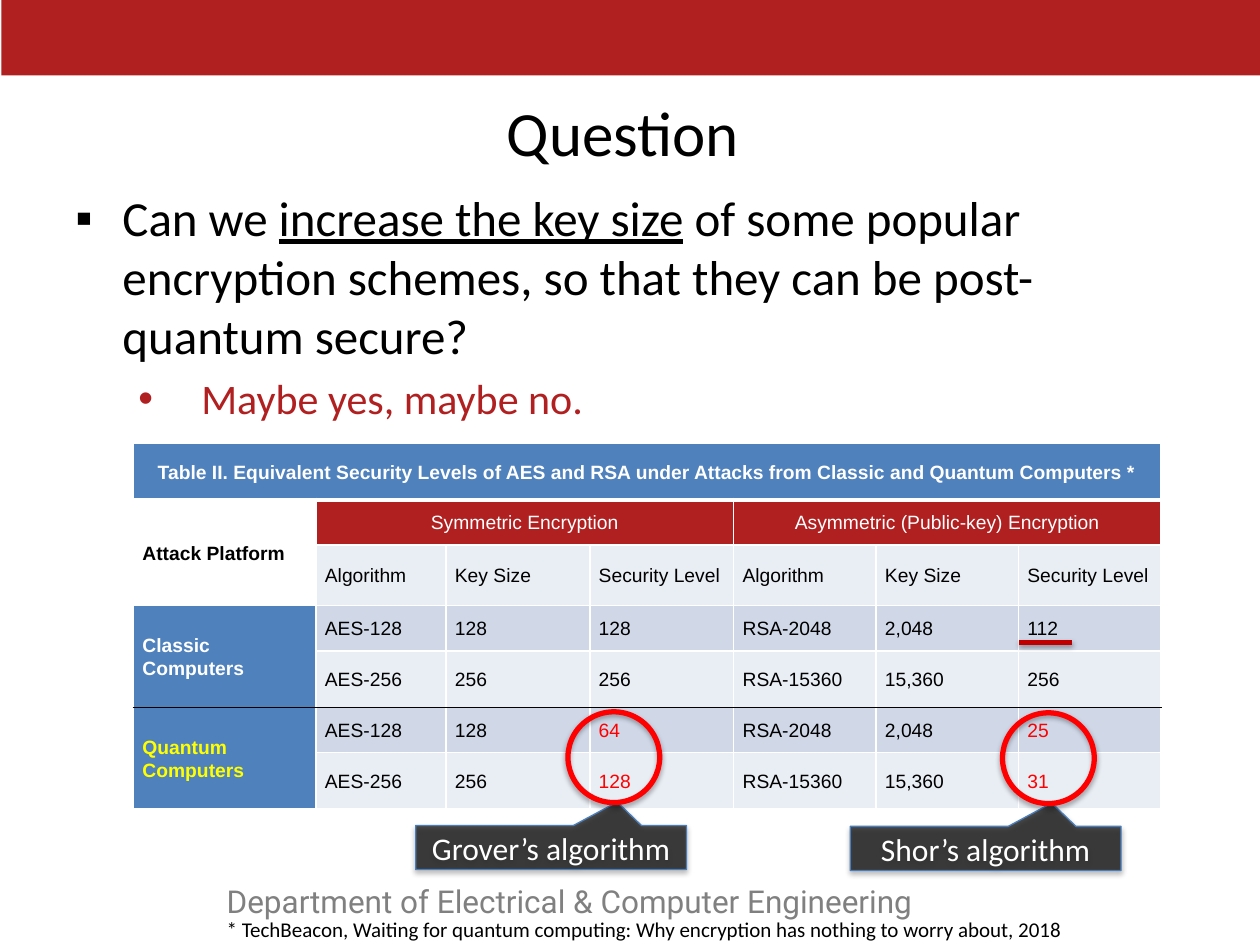
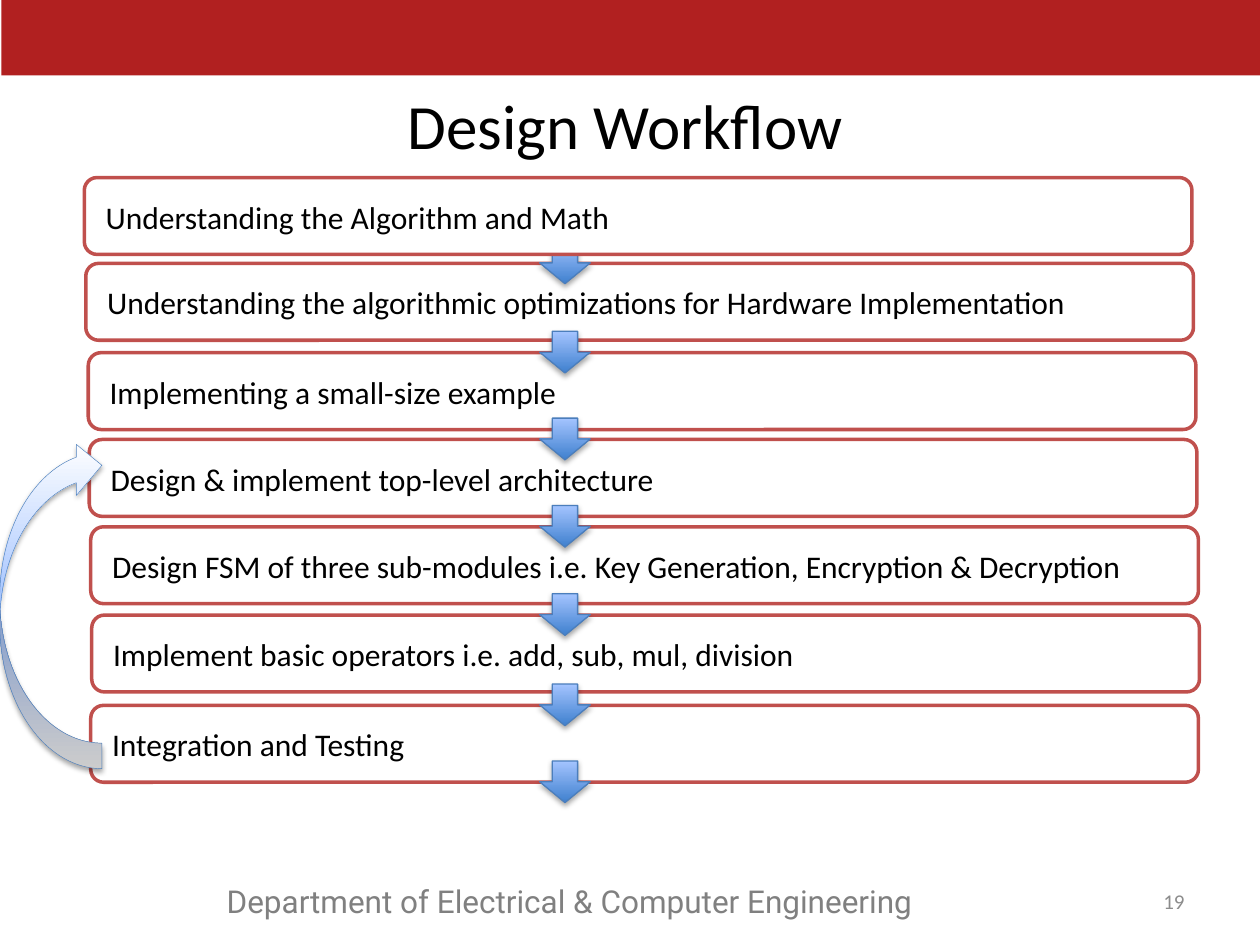
from pptx import Presentation
from pptx import util as u
from pptx.dml.color import RGBColor
from pptx.enum import shapes, text
from pptx.oxml import parse_xml
from pptx.oxml.ns import qn
from lxml import etree

NAMESPACE = 'xmlns:a="http://schemas.openxmlformats.org/drawingml/2006/main"'
COLORS = {
    "band": "B12020", "black": "000000", "white": "FFFFFF", "footer": "808080",
    "number": "8C8C8C", "blue": "4F81BD", "pale": "E9EDF4", "tint": "D0D8E8",
    "red": "FF0000", "underline": "C00000", "yellow": "FFFF00",
    "outline": "4B7EBC", "step": "C0504D", "arrow_dark": "3F80CE",
    "arrow_light": "A4C4FF",
}
SHAPE = shapes.MSO_SHAPE
ALIGN = text.PP_ALIGN
MIDDLE = text.MSO_ANCHOR.MIDDLE

COLUMN_WIDTHS = [3.68, 2.62, 2.9, 2.9, 2.87, 2.87, 2.87]
ROW_HEIGHTS = [1.14, 0.91, 1.22, 0.91, 1.14, 0.91, 1.14]
HEADINGS = ["Algorithm", "Key Size", "Security Level"] * 2
SECURITY_ROWS = [
    ["Table II. Equivalent Security Levels of AES and RSA under Attacks from "
     "Classic and Quantum Computers *"] + [""] * 6,
    ["Attack Platform", "Symmetric Encryption", "", "",
     "Asymmetric (Public-key) Encryption", "", ""],
    [""] + HEADINGS,
    ["Classic Computers", "AES-128", "128", "128", "RSA-2048", "2,048", "112"],
    ["", "AES-256", "256", "256", "RSA-15360", "15,360", "256"],
    ["Quantum Computers", "AES-128", "128", "64", "RSA-2048", "2,048", "25"],
    ["", "AES-256", "256", "128", "RSA-15360", "15,360", "31"],
]
MERGES = [(0, 0, 0, 6), (1, 0, 2, 0), (1, 1, 1, 3), (1, 4, 1, 6),
          (3, 0, 4, 0), (5, 0, 6, 0)]

# Wording, left and top of each step, in cm
STEPS = [
    ("Understanding the Algorithm and Math", 1.7, 3.58),
    ("Understanding the algorithmic optimizations for Hardware Implementation",
     1.73, 5.31),
    ("Implementing a small-size example", 1.78, 7.11),
    ("Design & implement top-level architecture", 1.8, 8.86),
    ("Design FSM of three sub-modules i.e. Key Generation, Encryption & Decryption",
     1.83, 10.62),
    ("Implement basic operators i.e. add, sub, mul, division", 1.85, 12.4),
    ("Integration and Testing", 1.83, 14.22),
]


def rgb(name):
    return RGBColor.from_string(COLORS[name])


def cm_box(box):
    return [u.Cm(length) for length in box]


def style_font(font, size, color, name="Calibri", bold=False):
    font.size, font.name, font.bold = u.Pt(size), name, bold
    font.color.rgb = rgb(color)


def add_text(slide, box, wording, size, color="black", name="Calibri",
             align=ALIGN.LEFT, anchor=text.MSO_ANCHOR.TOP):
    frame = slide.shapes.add_textbox(*cm_box(box)).text_frame
    frame.word_wrap = True
    frame.vertical_anchor = anchor
    paragraph = frame.paragraphs[0]
    paragraph.text = wording
    paragraph.alignment = align
    style_font(paragraph.font, size, color, name)


def add_shape(slide, kind, box, fill=None, line=None, width=0.75):
    shape = slide.shapes.add_shape(kind, *cm_box(box))
    shape.shadow.inherit = False
    if fill:
        shape.fill.solid()
        shape.fill.fore_color.rgb = rgb(fill)
    else:
        shape.fill.background()
    if line:
        shape.line.color.rgb = rgb(line)
        shape.line.width = u.Pt(width)
    else:
        shape.line.fill.background()
    return shape


def add_shadow(shape, distance=1.8, opacity=35):
    properties = shape._element.spPr
    effects = properties.find(qn("a:effectLst"))
    if effects is None:
        effects = etree.SubElement(properties, qn("a:effectLst"))
    effects.append(parse_xml(
        f'<a:outerShdw {NAMESPACE} blurRad="{u.Pt(3.1)}" dist="{u.Pt(distance)}" '
        f'dir="5400000" rotWithShape="0"><a:srgbClr val="{COLORS["black"]}">'
        f'<a:alpha val="{opacity * 1000}"/></a:srgbClr></a:outerShdw>'))


def set_gradient(shape, names, angle):
    """Replace the solid fill by evenly spaced stops."""
    stops = "".join(
        f'<a:gs pos="{100000 * index // (len(names) - 1)}">'
        f'<a:srgbClr val="{COLORS[name]}"/></a:gs>'
        for index, name in enumerate(names))
    properties = shape._element.spPr
    properties.replace(properties.find(qn("a:solidFill")), parse_xml(
        f'<a:gradFill {NAMESPACE} rotWithShape="1"><a:gsLst>{stops}</a:gsLst>'
        f'<a:lin ang="{angle * 60000}" scaled="0"/></a:gradFill>'))


def add_bullet(paragraph, mark, margin, indent):
    properties = paragraph._p.get_or_add_pPr()
    properties.set("marL", str(u.Cm(margin)))
    properties.set("indent", str(u.Cm(indent)))
    properties.append(parse_xml(f'<a:buFont {NAMESPACE} typeface="Arial"/>'))
    properties.append(parse_xml(f'<a:buChar {NAMESPACE} char="{mark}"/>'))


def add_base_slide(presentation, title, title_left, title_top):
    slide = presentation.slides.add_slide(presentation.slide_layouts[6])
    add_shape(slide, SHAPE.RECTANGLE, (0.03, 0, 25.4, 1.52), "band")
    add_text(slide, (4.32, 17.65, 14.66, 1.02),
             "Department of Electrical & Computer Engineering",
             18, "footer", "Roboto")
    add_text(slide, (title_left, title_top, 22.86, 1.88), title, 36,
             align=ALIGN.CENTER, anchor=MIDDLE)
    return slide


def add_question(slide, box):
    frame = slide.shapes.add_textbox(*cm_box(box)).text_frame
    frame.word_wrap = True
    question = frame.paragraphs[0]
    add_bullet(question, "▪", 0.95, -0.95)
    for wording, underlined in (
            ("Can we ", False), ("increase the key size", True),
            (" of some popular encryption schemes, so that they can be "
             "post-quantum secure?", False)):
        run = question.add_run()
        run.text = wording
        run.font.underline = underlined
    style_font(question.font, 28, "black")
    answer = frame.add_paragraph()
    answer.text = "Maybe yes, maybe no."
    answer.level = 1
    add_bullet(answer, "•", 2.54, -1.27)
    answer.space_before = u.Pt(4.8)
    style_font(answer.font, 24, "band")


def set_borders(cell, row):
    """White rules, a thick one under the title and black above Quantum."""
    bottom_row = row + cell.span_height - 1 if cell.is_merge_origin else row
    borders = dict.fromkeys(("lnL", "lnR", "lnT", "lnB"), ("white", 1))
    if row == 0:
        borders["lnB"] = ("white", 3)
    if row == 5:
        borders["lnT"] = ("black", 1)
    if bottom_row == 4:
        borders["lnB"] = ("black", 1)
    properties = cell._tc.get_or_add_tcPr()
    for tag, (color, width) in borders.items():
        properties.append(parse_xml(
            f'<a:{tag} {NAMESPACE} w="{u.Pt(width)}"><a:solidFill>'
            f'<a:srgbClr val="{COLORS[color]}"/></a:solidFill></a:{tag}>'))


def cell_style(row, column):
    """Return fill, font colour and boldness of a cell."""
    if row == 0:
        return "blue", "white", True
    if column == 0:
        if row < 3:
            return None, "black", True
        return "blue", "white" if row < 5 else "yellow", True
    if row == 1:
        return "band", "white", False
    broken = row >= 5 and column in (3, 6)
    return ("tint" if row in (3, 5) else "pale",
            "red" if broken else "black", False)


def add_security_table(slide, left, top):
    table = slide.shapes.add_table(
        len(ROW_HEIGHTS), len(COLUMN_WIDTHS),
        *cm_box((left, top, sum(COLUMN_WIDTHS), sum(ROW_HEIGHTS)))).table
    table.first_row = table.horz_banding = False
    for column, width in zip(table.columns, COLUMN_WIDTHS):
        column.width = u.Cm(width)
    for row, height in zip(table.rows, ROW_HEIGHTS):
        row.height = u.Cm(height)
    for row, column, last_row, last_column in MERGES:
        table.cell(row, column).merge(table.cell(last_row, last_column))
    for row, wordings in enumerate(SECURITY_ROWS):
        for column, wording in enumerate(wordings):
            cell = table.cell(row, column)
            fill, color, bold = cell_style(row, column)
            set_borders(cell, row)
            if fill:
                cell.fill.solid()
                cell.fill.fore_color.rgb = rgb(fill)
            else:
                cell.fill.background()
            cell.margin_left = cell.margin_right = u.Cm(0.18)
            cell.margin_top = cell.margin_bottom = 0
            cell.vertical_anchor = MIDDLE
            paragraph = cell.text_frame.paragraphs[0]
            paragraph.text = wording
            centred = row == 0 or (row == 1 and column > 0)
            paragraph.alignment = ALIGN.CENTER if centred else ALIGN.JUSTIFY
            paragraph.line_spacing = 1.07
            style_font(paragraph.font, 11, color, "Arial", bold)


def add_attack_note(slide, left, top, wording):
    """Place a callout and the ring it points to."""
    callout = add_shape(slide, SHAPE.RECTANGULAR_CALLOUT,
                        (left, top, 5.46, 0.89), "black", "outline")
    callout.adjustments[0], callout.adjustments[1] = 0.244, -1.031
    color = callout._element.spPr.find(qn("a:solidFill"))[0]
    etree.SubElement(color, qn("a:alpha")).set("val", "70000")
    add_shadow(callout)
    callout.text_frame.vertical_anchor = MIDDLE
    paragraph = callout.text_frame.paragraphs[0]
    paragraph.text = wording
    paragraph.alignment = ALIGN.CENTER
    style_font(paragraph.font, 18, "white")
    ring = add_shape(slide, SHAPE.OVAL, (left + 3.07, top - 2.29, 1.85, 1.83),
                     line="red", width=3)
    add_shadow(ring)


def add_underline(slide, left, top, width):
    line = slide.shapes.add_connector(
        shapes.MSO_CONNECTOR.STRAIGHT, *cm_box((left, top, left + width, top)))
    line.line.color.rgb = rgb("underline")
    line.line.width = u.Pt(2.75)
    add_shadow(line, 1.6, 38)


def add_down_arrow(slide, top):
    arrow = add_shape(slide, SHAPE.DOWN_ARROW, (10.88, top, 1.02, 0.84),
                      "arrow_dark", "outline")
    set_gradient(arrow, ["arrow_dark", "arrow_light"], 270)
    add_shadow(arrow)


def add_step(slide, wording, left, top):
    add_shape(slide, SHAPE.ROUNDED_RECTANGLE, (left, top, 22.33, 1.55),
              "white", "step", 2)
    add_text(slide, (left + 0.18, top + 0.28, 21.4, 1.02), wording, 18)


def add_return_arrow(slide, box):
    arrow = add_shape(slide, SHAPE.CURVED_DOWN_ARROW, box, "white", "outline", 0.25)
    arrow.rotation = 270
    set_gradient(arrow, ["white", "arrow_light", "white"], 0)
    add_shadow(arrow)


def build_question_slide(presentation):
    slide = add_base_slide(presentation, "Question ", 1.27, 1.7)
    add_question(slide, (1.27, 3.66, 22.86, 12.57))
    add_text(slide, (4.32, 18.36, 19.23, 0.76),
             "* TechBeacon, Waiting for quantum computing: Why encryption has "
             "nothing to worry about, 2018", 12)
    add_security_table(slide, 2.69, 8.94)
    add_attack_note(slide, 8.38, 16.64, "Grover’s algorithm")
    add_attack_note(slide, 17.14, 16.66, "Shor’s algorithm")
    add_underline(slide, 20.55, 12.95, 1.07)


def build_workflow_slide(presentation):
    slide = add_base_slide(presentation, "Design Workflow", 1.17, 1.57)
    add_text(slide, (22.63, 17.65, 1.5, 1.02), "19", 12, "number",
             align=ALIGN.RIGHT, anchor=MIDDLE)
    for wording, left, top in STEPS[1:]:
        add_step(slide, wording, left, top)
        add_down_arrow(slide, top - 0.43)
    add_step(slide, *STEPS[0])  # covers the tail of the first arrow
    add_return_arrow(slide, (-2.29, 11.15, 6.63, 2.06))
    add_down_arrow(slide, 15.34)


def main():
    presentation = Presentation()
    presentation.slide_width, presentation.slide_height = u.Cm(25.4), u.Cm(19.05)
    build_question_slide(presentation)
    build_workflow_slide(presentation)
    presentation.save("out.pptx")


if __name__ == "__main__":
    main()
